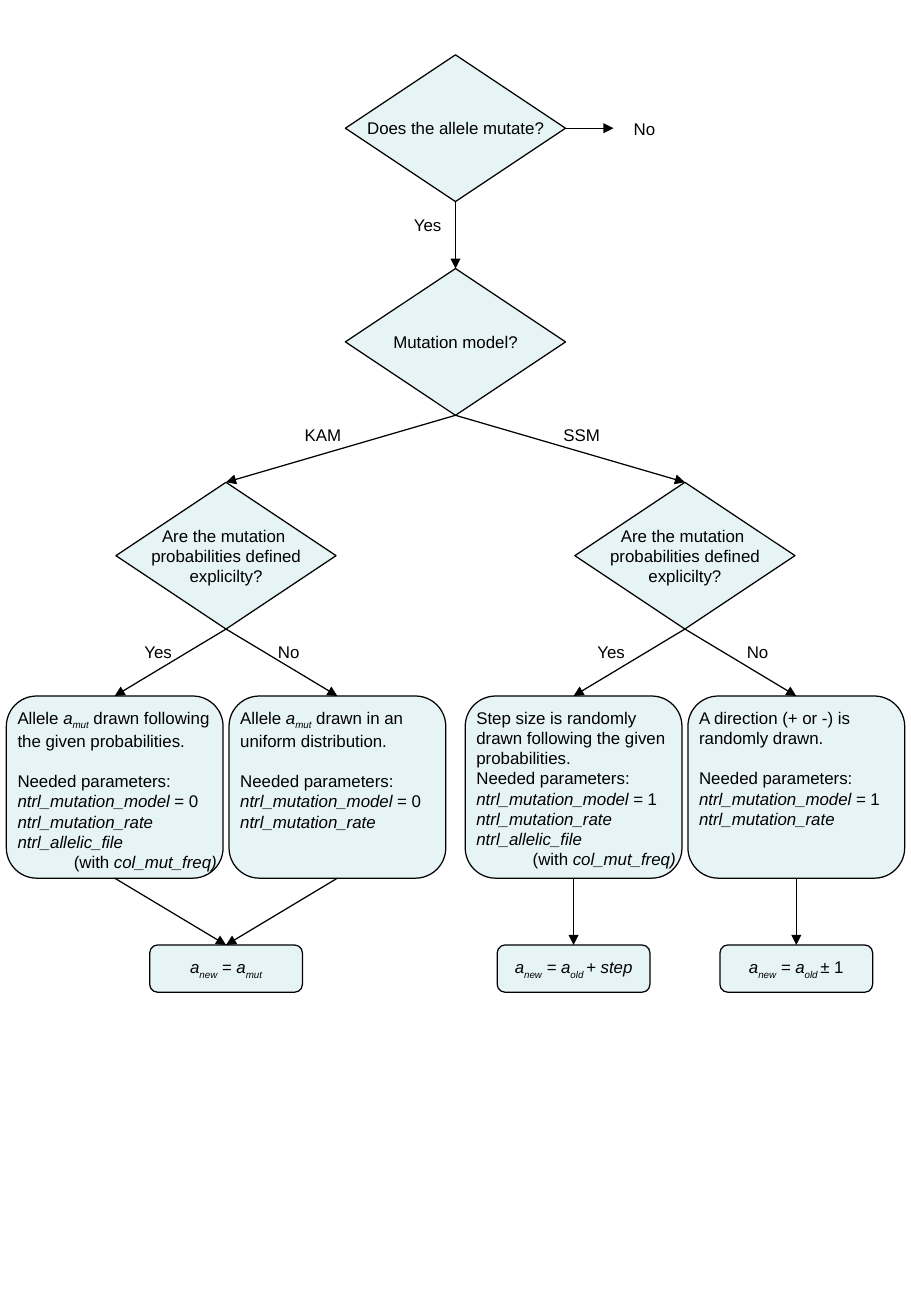
"""Build the decision flowchart for the allele mutation models."""
from lxml import etree
from pptx import Presentation
from pptx import util as u
from pptx.dml.color import RGBColor
from pptx.enum import shapes, text
from pptx.oxml import ns

PALE_BLUE = RGBColor(0xE7, 0xF4, 0xF5)
BLACK = RGBColor(0x00, 0x00, 0x00)
PLAIN, ITALIC, SUBSCRIPT = "plain", "italic", "subscript"
DIAMOND = shapes.MSO_SHAPE.FLOWCHART_DECISION
ROUNDED = shapes.MSO_SHAPE.FLOWCHART_ALTERNATE_PROCESS

MARGINS = {"margin_left": u.Pt(7.2), "margin_top": u.Pt(3.6),
           "margin_right": u.Pt(7.2), "margin_bottom": u.Pt(3.6), "word_wrap": False}
CENTRED = {**MARGINS, "vertical_anchor": text.MSO_ANCHOR.MIDDLE}
TOP_LEFT = {**MARGINS, "vertical_anchor": text.MSO_ANCHOR.TOP,
            "margin_left": u.Pt(1.4), "margin_top": u.Pt(1.4)}
LABEL = {**MARGINS, "auto_size": text.MSO_AUTO_SIZE.SHAPE_TO_FIT_TEXT}
FONT = {"name": "Arial", "size": u.Pt(10)}

presentation = Presentation()
presentation.slide_width, presentation.slide_height = u.Pt(540), u.Pt(780.13)
slide = presentation.slides.add_slide(presentation.slide_layouts[6])


def write_lines(shape, lines, frame_format, alignment):
    """Fill a shape with lines, each a list of (words, style) pieces."""
    frame = shape.text_frame
    for name, value in frame_format.items():
        setattr(frame, name, value)
    for number, pieces in enumerate(lines):
        paragraph = frame.add_paragraph() if number else frame.paragraphs[0]
        paragraph.alignment = alignment
        for words, style in pieces:
            run = paragraph.add_run()
            run.text = words
            for name, value in FONT.items():
                setattr(run.font, name, value)
            run.font.color.rgb = BLACK
            run.font.italic = style != PLAIN
            if style == SUBSCRIPT:
                run.font._element.set("baseline", "-25000")


def add_node(kind, center, top, size, lines, frame_format=CENTRED,
             alignment=text.PP_ALIGN.CENTER):
    """Add an outlined flowchart node centred on a column."""
    width, height = size
    shape = slide.shapes.add_shape(kind, u.Pt(center - width / 2), u.Pt(top),
                                   u.Pt(width), u.Pt(height))
    shape.shadow.inherit = False
    shape.fill.solid()
    shape.fill.fore_color.rgb = PALE_BLUE
    shape.line.color.rgb = BLACK
    shape.line.width = u.Pt(0.75)
    write_lines(shape, lines, frame_format, alignment)
    return shape


MIDDLE, KAM, SSM = 270, 134, 406
BRANCH = 66
FIRST_ROW, ROW_STEP = 32.5, 126.7
rows = [FIRST_ROW + ROW_STEP * row for row in range(4)]
RESULT_ROW = 560.2

explicit_question = [[("Are the mutation ", PLAIN)],
                     [("probabilities defined", PLAIN)],
                     [("explicilty?", PLAIN)]]
questions = {
    "mutate": (MIDDLE, rows[0], [[("Does the allele mutate?", PLAIN)]]),
    "model": (MIDDLE, rows[1], [[("Mutation model?", PLAIN)]]),
    "kam": (KAM, rows[2], explicit_question),
    "ssm": (SSM, rows[2], explicit_question),
}
nodes = {name: add_node(DIAMOND, center, top, (130.5, 87), lines)
         for name, (center, top, lines) in questions.items()}

allele_mut = [("Allele ", PLAIN), ("a", ITALIC), ("mut", SUBSCRIPT)]
procedures = {
    "kam_yes": (KAM - BRANCH, 0, True, [
        allele_mut + [(" drawn following", PLAIN)],
        [("the given probabilities.", PLAIN)]]),
    "kam_no": (KAM + BRANCH, 0, False, [
        allele_mut + [(" drawn in an", PLAIN)],
        [("uniform distribution.", PLAIN)]]),
    "ssm_yes": (SSM - BRANCH, 1, True, [
        [("Step size is randomly", PLAIN)],
        [("drawn following the given", PLAIN)],
        [("probabilities.", PLAIN)]]),
    "ssm_no": (SSM + BRANCH, 1, False, [
        [("A direction (+ or -) is", PLAIN)],
        [("randomly drawn.", PLAIN)]]),
}
for name, (center, model, has_file, summary) in procedures.items():
    parameters = [[("Needed parameters:", PLAIN)],
                  [("ntrl_mutation_model ", ITALIC), (f"= {model}", PLAIN)],
                  [("ntrl_mutation_rate", ITALIC)]]
    if has_file:
        parameters += [[("ntrl_allelic_file", ITALIC)],
                       [("(with ", PLAIN), ("col_mut_freq)", ITALIC)]]
    nodes[name] = add_node(ROUNDED, center, rows[3], (128.5, 108), summary + parameters,
                           TOP_LEFT, text.PP_ALIGN.LEFT)
    paragraphs = nodes[name].text_frame.paragraphs
    if len(summary) == 2:
        paragraphs[2].space_before = u.Pt(12)
    if has_file:
        paragraphs[-1]._p.get_or_add_pPr().set("marL", str(u.Pt(33.4)))

a_new = [("a", ITALIC), ("new", SUBSCRIPT), (" = a", ITALIC)]
results = {
    "a_mut": (KAM, [("mut", SUBSCRIPT)]),
    "a_step": (SSM - BRANCH, [("old ", SUBSCRIPT), ("+ step", ITALIC)]),
    "a_one": (SSM + BRANCH, [("old ", SUBSCRIPT), ("± 1", PLAIN)]),
}
for name, (center, ending) in results.items():
    nodes[name] = add_node(ROUNDED, center, RESULT_ROW, (90.5, 28), [a_new + ending])

arrows = [("mutate", "model"), ("model", "kam"), ("model", "ssm"),
          ("kam", "kam_yes"), ("kam", "kam_no"), ("ssm", "ssm_yes"), ("ssm", "ssm_no"),
          ("kam_yes", "a_mut"), ("kam_no", "a_mut"), ("ssm_yes", "a_step"),
          ("ssm_no", "a_one"), ("mutate", None)]
exit_height = u.Pt(rows[0] + 43.5)
for start, end in arrows:
    connector = slide.shapes.add_connector(shapes.MSO_CONNECTOR.STRAIGHT, u.Pt(335.25),
                                           exit_height, u.Pt(363.6), exit_height)
    connector.begin_connect(nodes[start], 2 if end else 3)
    if end:
        connector.end_connect(nodes[end], 0)
    connector.line.color.rgb = BLACK
    connector.line.width = u.Pt(0.75)
    properties = connector._element.spPr
    etree.SubElement(properties.find(ns.qn("a:ln")), ns.qn("a:tailEnd"), type="triangle")
    etree.SubElement(properties, ns.qn("a:effectLst"))

label_widths = {"Yes": 32, "No": 27.5, "KAM": 36.5, "SSM": 36.5}
labels = [("No", 368.6, 67), ("Yes", 238.3, 123.8), ("KAM", 173.5, 248.4),
          ("SSM", 326.9, 248.4), ("Yes", 78.5, 376.6), ("No", 157.7, 376.6),
          ("Yes", 347, 376.6), ("No", 435.6, 376.6)]
for words, left, top in labels:
    label = slide.shapes.add_textbox(u.Pt(left), u.Pt(top),
                                     u.Pt(label_widths[words]), u.Pt(19.4))
    write_lines(label, [[(words, PLAIN)]], LABEL, text.PP_ALIGN.LEFT)

presentation.save("out.pptx")
